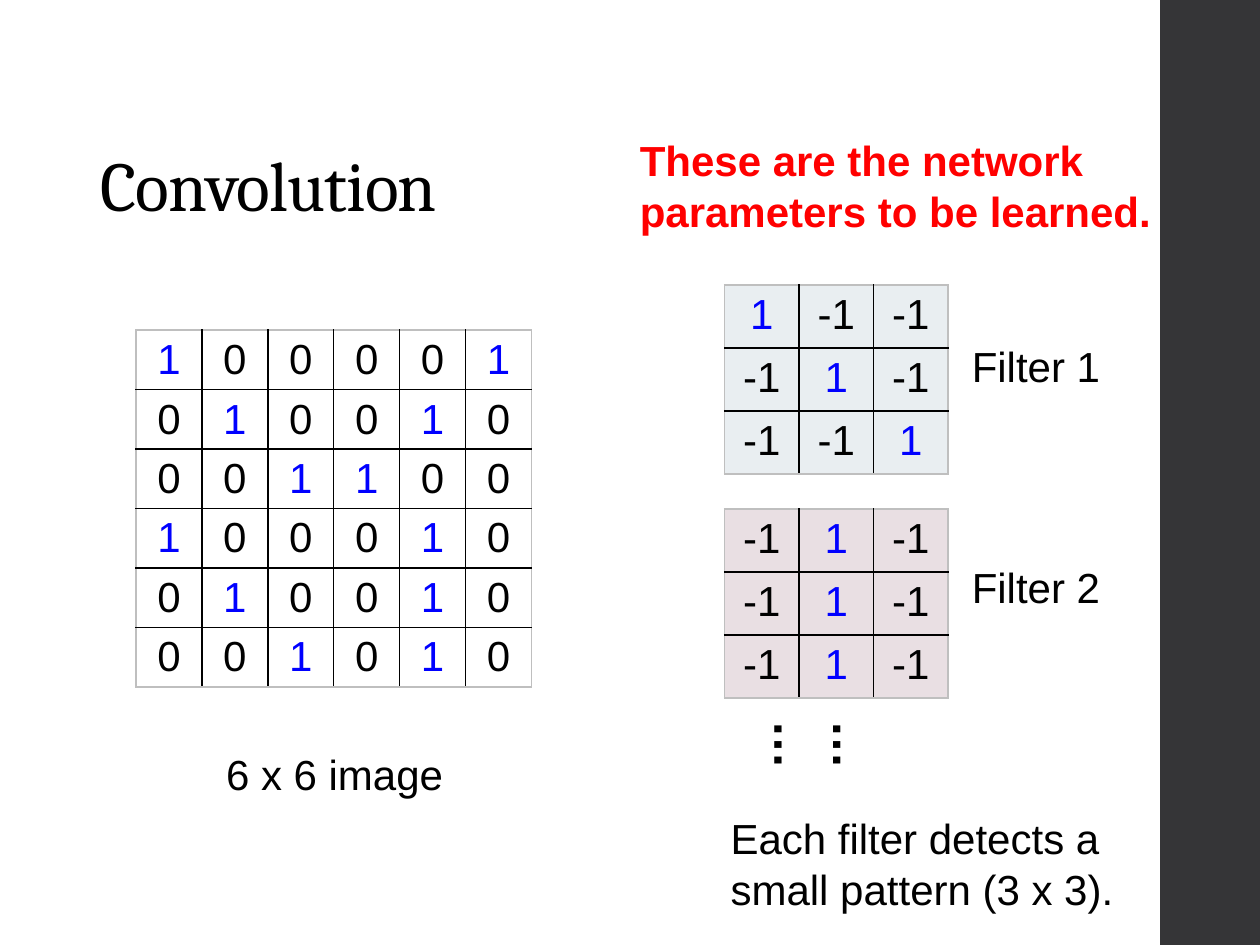
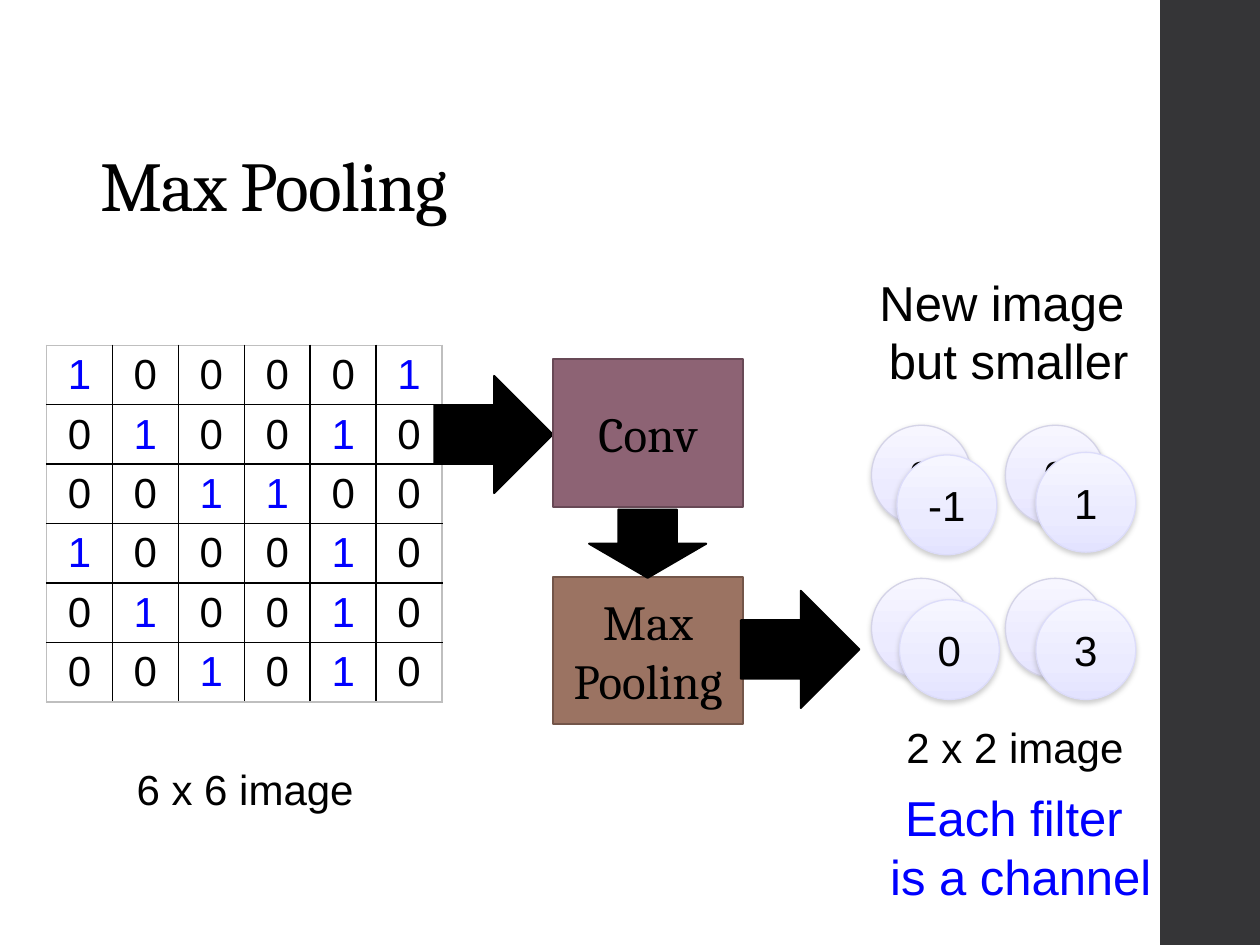
from copy import deepcopy

from lxml.etree import SubElement
from pptx import Presentation
from pptx.dml.color import RGBColor as Rgb
from pptx.enum.shapes import MSO_SHAPE as Shape
from pptx.enum.text import MSO_ANCHOR as Anchor, MSO_AUTO_SIZE as Fit, PP_ALIGN as Align
from pptx.oxml.ns import qn
from pptx.util import Pt

COLOURS = {
    "ink": "000000", "blue": "0000FF", "red": "FF0000", "band": "353537",
    "edge": "BFBFBF", "filter 1": "E9EEF1", "filter 2": "E9DFE3",
    "conv": "8D6374", "conv line": "684956", "pool": "9B7362",
    "pool line": "735549", "back line": "D4D3E7", "front line": "DCDCFA",
    "shadow": "808080",
}
SHADES = {
    "back": ("F7F6FF", "ECEBFF", "E5E3FF"),
    "front": ("F6F6FF", "EBEBFF", "E3E3FF"),
}
IMAGE = ("100001", "010010", "001100", "100010", "010010", "001010")
DIAGONAL = ((1, -1, -1), (-1, 1, -1), (-1, -1, 1))
VERTICAL = ((-1, 1, -1),) * 3


class Deck:
    """Holds the shared style and the current slide, and draws each kind of element."""

    def __init__(self):
        self.deck = Presentation()
        self.deck.slide_width, self.deck.slide_height = Pt(720), Pt(540)
        self.layout = self.deck.slide_layouts[5]
        self.page = None

    def colour(self, name):
        return Rgb.from_string(COLOURS[name])

    def start(self, title):
        first = self.page is None
        self.page = self.deck.slides.add_slide(self.layout)
        if first:
            band = self.shape(Shape.RECTANGLE, (663, 0, 57, 540), "band")
            self.deck.slide_master.shapes.element.insert(2, band.element)
        box = self.page.shapes.title
        self.place(box, (50, 29, 620, 104))
        self.fill_text(box, title, size=40, font="Cambria", align=Align.LEFT,
                       anchor=Anchor.BOTTOM, fit=Fit.NONE)
        box.text_frame.paragraphs[0].line_spacing = 0.9
        for properties in box.element.xpath(".//a:rPr"):
            properties.set("spc", "-50")

    def place(self, box, at):
        for name, value in zip(("left", "top", "width", "height"), at):
            setattr(box, name, Pt(value))

    def fill_text(self, box, text, size=24, colour="ink", bold=False, font="Arial",
                  align=Align.CENTER, anchor=Anchor.TOP, fit=None):
        frame = box.text_frame
        for name, value in {"word_wrap": True, "vertical_anchor": anchor,
                            "auto_size": fit}.items():
            setattr(frame, name, value)
        for index, line in enumerate(text.split("\n")):
            para = frame.add_paragraph() if index else frame.paragraphs[0]
            para.alignment = align
            span = para.add_run()
            span.text = line
            self.style(span, size, colour, bold, font)

    def style(self, span, size=24, colour="ink", bold=False, font="Arial"):
        for name, value in {"size": Pt(size), "bold": bold, "name": font}.items():
            setattr(span.font, name, value)
        span.font.color.rgb = self.colour(colour)

    def label(self, text, at, rotation=0, **style):
        box = self.page.shapes.add_textbox(*map(Pt, at))
        box.rotation = rotation
        self.fill_text(box, text, fit=Fit.SHAPE_TO_FIT_TEXT, **style)

    def shape(self, kind, at, fill=None, line=None, width=1.1):
        box = self.page.shapes.add_shape(kind, *map(Pt, at))
        box.shadow.inherit = False
        if fill:
            box.fill.solid()
            box.fill.fore_color.rgb = self.colour(fill)
        if line:
            box.line.color.rgb = self.colour(line)
            box.line.width = Pt(width)
        else:
            box.line.fill.background()
        return box

    def block(self, text, at, fill):
        box = self.shape(Shape.RECTANGLE, at, fill, f"{fill} line")
        self.fill_text(box, text, size=28, font="Cambria", anchor=Anchor.MIDDLE)

    def arrow(self, at, rotation=0):
        self.shape(Shape.RIGHT_ARROW, at, "ink", "ink").rotation = rotation

    def neuron(self, text, left, top, layer):
        box = self.shape(Shape.OVAL, (left, top, 57, 57), line=f"{layer} line", width=0.75)
        box.fill.gradient()
        box.fill.gradient_angle = 270
        stop_list = box.element.xpath(".//a:gsLst")[0]
        stop_list.append(deepcopy(stop_list[-1]))
        for stop, position, shade in zip(box.fill.gradient_stops, (0, 0.65, 1), SHADES[layer]):
            stop.position = position
            stop.color.rgb = Rgb.from_string(shade)
        effects = box.element.xpath("./p:spPr/a:effectLst")[0]
        shadow = SubElement(effects, qn("a:outerShdw"), blurRad=str(Pt(3.1)),
                            dist=str(Pt(1.6)), dir="5400000", rotWithShape="0")
        tone = SubElement(shadow, qn("a:srgbClr"), val=COLOURS["shadow"])
        SubElement(tone, qn("a:alpha"), val="38000")
        if text:
            self.fill_text(box, text, anchor=Anchor.MIDDLE)

    def border(self, cell, sides):
        properties = cell._tc.get_or_add_tcPr()
        for side, outer in sides.items():
            line = SubElement(properties, qn(f"a:ln{side}"), w=str(Pt(1)))
            fill = SubElement(line, qn("a:solidFill"))
            SubElement(fill, qn("a:srgbClr"), val=COLOURS["edge" if outer else "ink"])

    def matrix(self, values, left, top, cell_width, cell_height, fill=None):
        count = len(values)
        at = (left, top, cell_width * count, cell_height * count)
        table = self.page.shapes.add_table(count, count, *map(Pt, at)).table
        table.first_row = table.horz_banding = False
        for column in table.columns:
            column.width = Pt(cell_width)
        for row in table.rows:
            row.height = Pt(cell_height)
        last = count - 1
        for r, row in enumerate(values):
            for c, value in enumerate(row):
                cell = table.cell(r, c)
                self.border(cell, {"L": c == 0, "R": c == last, "T": r == 0, "B": r == last})
                if fill:
                    cell.fill.solid()
                    cell.fill.fore_color.rgb = self.colour(fill)
                else:
                    cell.fill.background()
                para = cell.text_frame.paragraphs[0]
                para.alignment = Align.CENTER
                span = para.add_run()
                span.text = str(value)
                self.style(span, colour="blue" if span.text == "1" else "ink")

    def image(self, left, top):
        self.matrix(IMAGE, left, top, 37.7, 34)
        self.label("6 x 6 image", (left + 21, top + 235.5, 185, 36))


def convolution(deck):
    deck.start("Convolution")
    deck.image(77.7, 188.7)
    filters = (("filter 1", DIAGONAL, 162.8, 191), ("filter 2", VERTICAL, 290.8, 317.5))
    for name, weights, top, label_top in filters:
        deck.matrix(weights, 414, top, 42.6, 36, name)
        deck.label(name.capitalize(), (535, label_top, 114, 36))
    deck.label("……", (459.4, 411.8, 55.4, 41), 90, size=28, bold=True, align=Align.LEFT)
    deck.label("These are the network parameters to be learned.", (358.5, 73.4, 312, 65.5),
               colour="red", bold=True, align=Align.LEFT)
    deck.label("Each filter detects a small pattern (3 x 3).", (410.4, 460.8, 280, 65.5),
               align=Align.LEFT)


def max_pooling(deck):
    deck.start("Max Pooling")
    deck.image(26.6, 197.3)
    neurons = {
        "back": (("3", 498, 243), ("0", 574.5, 243), ("", 574.5, 330.5), ("", 498, 330.5)),
        "front": (("-1", 512.6, 260), ("1", 592, 258.5), ("3", 592, 342.7), ("0", 514, 342.7)),
    }
    for layer, circles in neurons.items():
        for text, left, top in circles:
            deck.neuron(text, left, top, layer)
    deck.label("2 x 2 image", (487.5, 409, 185, 36.5))
    deck.label("Each filter \nis a channel", (494, 446.4, 178.5, 75.6), size=28, colour="blue")
    deck.label("New image \nbut smaller", (486.7, 152, 179.3, 75), size=28)
    deck.arrow((248.2, 214.8, 67.7, 67))
    deck.block("Conv", (316, 205.4, 108.5, 84.2), "conv")
    deck.block("Max\nPooling", (316, 329.6, 108.5, 84.2), "pool")
    deck.arrow((423.4, 337.6, 67.7, 67))
    deck.arrow((350.6, 277.2, 39, 67), 90)


def main():
    deck = Deck()
    convolution(deck)
    max_pooling(deck)
    deck.deck.save("out.pptx")


if __name__ == "__main__":
    main()
